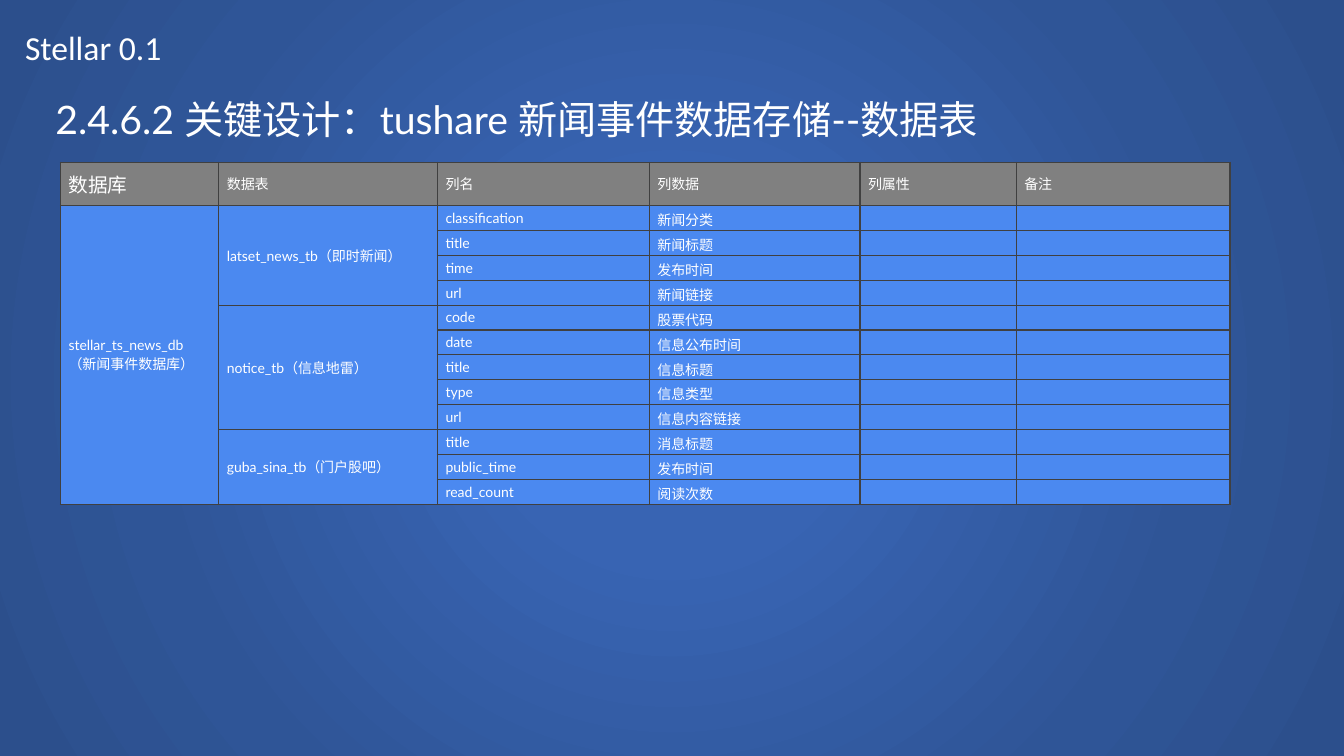
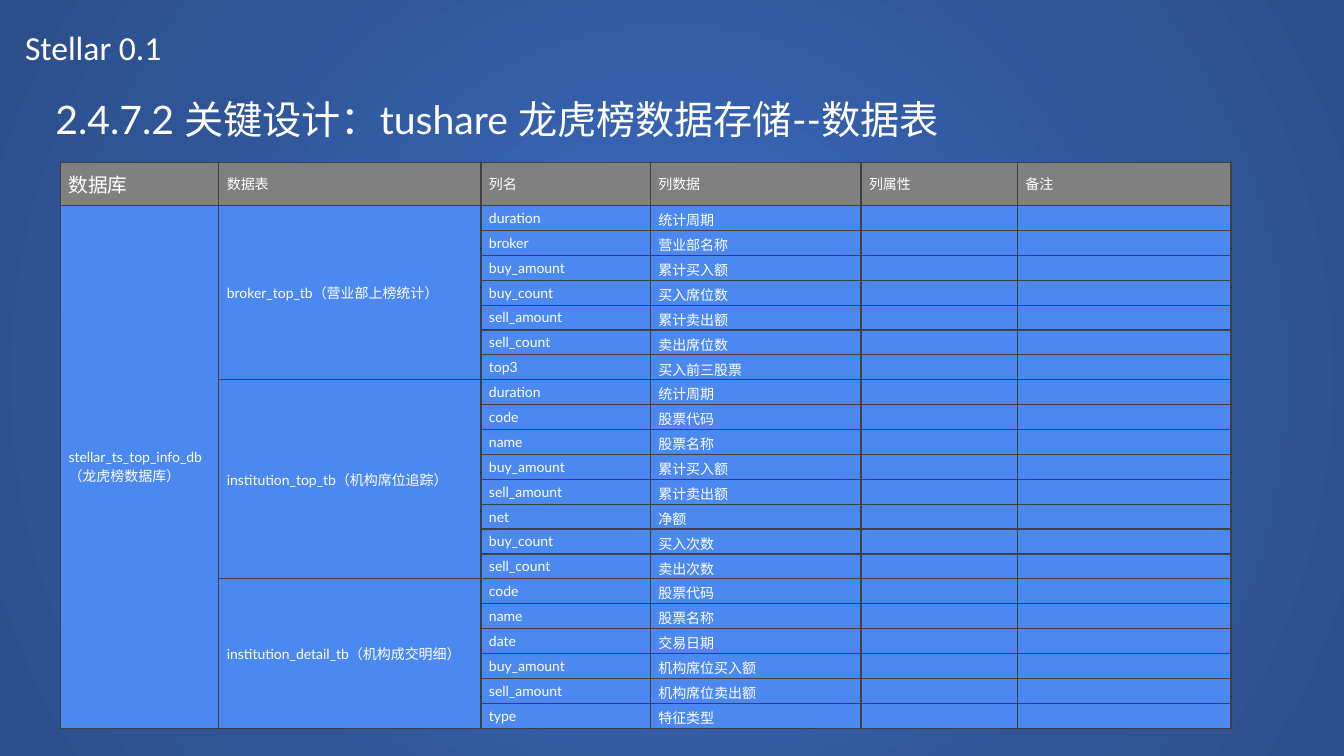
"""Builds two slides that describe database tables."""
from dataclasses import dataclass

import pptx
import pptx.dml.color
import pptx.enum.shapes
import pptx.enum.text
import pptx.oxml
import pptx.oxml.ns
import pptx.util

Inches = pptx.util.Inches
Pt = pptx.util.Pt
qn = pptx.oxml.ns.qn
MIDDLE = pptx.enum.text.MSO_ANCHOR.MIDDLE
NS = pptx.oxml.ns.nsdecls("a")


@dataclass(frozen=True)
class Theme:
    text: str = "FFFFFF"
    header: str = "808080"
    body: str = "4B89F0"
    border: str = "404040"
    gradient: tuple[tuple[int, str], ...] = (
        (0, "3864B3"), (23, "3864B3"), (69, "2F5597"), (97, "2C4F8C"))
    font: str = "Lato"
    product_font: str = "Calibri"
    product_size: int = 24
    title_size: int = 28
    lead_size: int = 14
    cell_size: int = 10


@dataclass(frozen=True)
class DataTable:
    name: str
    fields: tuple[tuple[str, str], ...]


@dataclass(frozen=True)
class Page:
    title: str
    database: str
    widths: tuple[float, ...]
    tables: tuple[DataTable, ...]


THEME = Theme()
WIDTH, HEIGHT = Inches(13.33), Inches(7.5)
PRODUCT = "Stellar 0.1"
HEADINGS = ("数据库", "数据表", "列名", "列数据", "列属性", "备注")
HEADER_HEIGHT, ROW_HEIGHT = 0.43, 0.24

PAGES = (
    Page(
        "2.4.6.2 关键设计：tushare 新闻事件数据存储--数据表",
        "stellar_ts_news_db\n（新闻事件数据库）",
        (1.57, 2.17, 2.1, 2.09, 1.55, 2.12),
        (
            DataTable("latset_news_tb（即时新闻）", (
                ("classification", "新闻分类"),
                ("title", "新闻标题"),
                ("time", "发布时间"),
                ("url", "新闻链接"),
            )),
            DataTable("notice_tb（信息地雷）", (
                ("code", "股票代码"),
                ("date", "信息公布时间"),
                ("title", "信息标题"),
                ("type", "信息类型"),
                ("url", "信息内容链接"),
            )),
            DataTable("guba_sina_tb（门户股吧）", (
                ("title", "消息标题"),
                ("public_time", "发布时间"),
                ("read_count", "阅读次数"),
            )),
        ),
    ),
    Page(
        "2.4.7.2 关键设计：tushare 龙虎榜数据存储--数据表",
        "stellar_ts_top_info_db\n（龙虎榜数据库）",
        (1.57, 2.6, 1.68, 2.09, 1.55, 2.12),
        (
            DataTable("broker_top_tb（营业部上榜统计）", (
                ("duration", "统计周期"),
                ("broker", "营业部名称"),
                ("buy_amount", "累计买入额"),
                ("buy_count", "买入席位数"),
                ("sell_amount", "累计卖出额"),
                ("sell_count", "卖出席位数"),
                ("top3", "买入前三股票"),
            )),
            DataTable("institution_top_tb（机构席位追踪）", (
                ("duration", "统计周期"),
                ("code", "股票代码"),
                ("name", "股票名称"),
                ("buy_amount", "累计买入额"),
                ("sell_amount", "累计卖出额"),
                ("net", "净额"),
                ("buy_count", "买入次数"),
                ("sell_count", "卖出次数"),
            )),
            DataTable("institution_detail_tb（机构成交明细）", (
                ("code", "股票代码"),
                ("name", "股票名称"),
                ("date", "交易日期"),
                ("buy_amount", "机构席位买入额"),
                ("sell_amount", "机构席位卖出额"),
                ("type", "特征类型"),
            )),
        ),
    ),
)


def rgb(value: str) -> pptx.dml.color.RGBColor:
    return pptx.dml.color.RGBColor.from_string(value)


def write(tf, text: str, *, size: int, font: str = THEME.font,
          color: str = THEME.text) -> None:
    p = tf.paragraphs[0]
    p.alignment = pptx.enum.text.PP_ALIGN.LEFT
    if not text:
        p._p.append(pptx.oxml.parse_xml(f'<a:endParaRPr {NS} sz="{size * 100}"/>'))
        return
    for i, line in enumerate(text.split("\n")):
        if i:
            p.add_line_break()
        r = p.add_run()
        r.text = line
        r.font.size = Pt(size)
        r.font.name = font
        r.font.color.rgb = rgb(color)


def fit_frame(tf) -> None:
    tf.word_wrap = True
    tf.auto_size = pptx.enum.text.MSO_AUTO_SIZE.SHAPE_TO_FIT_TEXT
    tf.vertical_anchor = pptx.enum.text.MSO_ANCHOR.TOP


def add_backdrop(slide) -> None:
    sp = slide.shapes.add_shape(
        pptx.enum.shapes.MSO_SHAPE.RECTANGLE, 0, 0, WIDTH, HEIGHT)
    sp.shadow.inherit = False
    sp.line.fill.background()
    sp.fill.background()
    stops = "".join(f'<a:gs pos="{pos * 1000}"><a:srgbClr val="{color}"/></a:gs>'
                    for pos, color in THEME.gradient)
    grad = pptx.oxml.parse_xml(
        f'<a:gradFill {NS} rotWithShape="1"><a:gsLst>{stops}</a:gsLst>'
        '<a:path path="circle"><a:fillToRect l="50000" t="50000" r="50000" b="50000"/>'
        '</a:path></a:gradFill>')
    props = sp._element.spPr
    props.replace(props.find(qn("a:noFill")), grad)
    slide.shapes._spTree.insert(2, sp._element)


def add_headings(slide, title: str) -> None:
    box = slide.shapes.add_textbox(Inches(0.15), Inches(0.22), Inches(5.04), Inches(0.5))
    fit_frame(box.text_frame)
    write(box.text_frame, PRODUCT, size=THEME.product_size, font=THEME.product_font)
    sp = slide.shapes.title
    sp.left, sp.top = Inches(0.45), Inches(0.9)
    sp.width, sp.height = Inches(11.77), Inches(0.57)
    fit_frame(sp.text_frame)
    write(sp.text_frame, title, size=THEME.title_size)


def format_cell(cell, text: str, *, fill: str, size: int) -> None:
    cell.margin_left = cell.margin_right = Inches(0.08)
    cell.margin_top = cell.margin_bottom = Inches(0.04)
    cell.vertical_anchor = MIDDLE
    cell.fill.solid()
    cell.fill.fore_color.rgb = rgb(fill)
    props = cell._tc.get_or_add_tcPr()
    for i, side in enumerate("LRTB"):
        props.insert(i, pptx.oxml.parse_xml(
            f'<a:ln{side} {NS} w="{Pt(1)}"><a:solidFill>'
            f'<a:srgbClr val="{THEME.border}"/></a:solidFill></a:ln{side}>'))
    write(cell.text_frame, text, size=size)


def table_rows(page: Page) -> list[tuple[str, ...]]:
    rows = [HEADINGS]
    for table in page.tables:
        for i, (name, meaning) in enumerate(table.fields):
            database = page.database if len(rows) == 1 else ""
            rows.append((database, "" if i else table.name, name, meaning, "", ""))
    return rows


def add_data_table(slide, page: Page) -> None:
    rows = table_rows(page)
    last = len(rows) - 1
    table = slide.shapes.add_table(
        len(rows), len(HEADINGS), Inches(0.6), Inches(1.61), Inches(sum(page.widths)),
        Inches(HEADER_HEIGHT + last * ROW_HEIGHT)).table
    table.first_row = table.horz_banding = False
    for column, width in zip(table.columns, page.widths):
        column.width = Inches(width)
    for i, values in enumerate(rows):
        table.rows[i].height = Inches(ROW_HEIGHT if i else HEADER_HEIGHT)
        for j, text in enumerate(values):
            format_cell(table.cell(i, j), text,
                        fill=THEME.body if i else THEME.header,
                        size=THEME.cell_size if i or j else THEME.lead_size)
    table.cell(1, 0).merge(table.cell(last, 0))
    top = 1
    for group in page.tables:
        bottom = top + len(group.fields) - 1
        table.cell(top, 1).merge(table.cell(bottom, 1))
        top = bottom + 1


def main() -> None:
    prs = pptx.Presentation()
    prs.slide_width, prs.slide_height = WIDTH, HEIGHT
    for page in PAGES:
        slide = prs.slides.add_slide(prs.slide_layouts.get_by_name("Title Only"))
        add_backdrop(slide)
        add_headings(slide, page.title)
        add_data_table(slide, page)
    prs.save("out.pptx")


if __name__ == "__main__":
    main()
